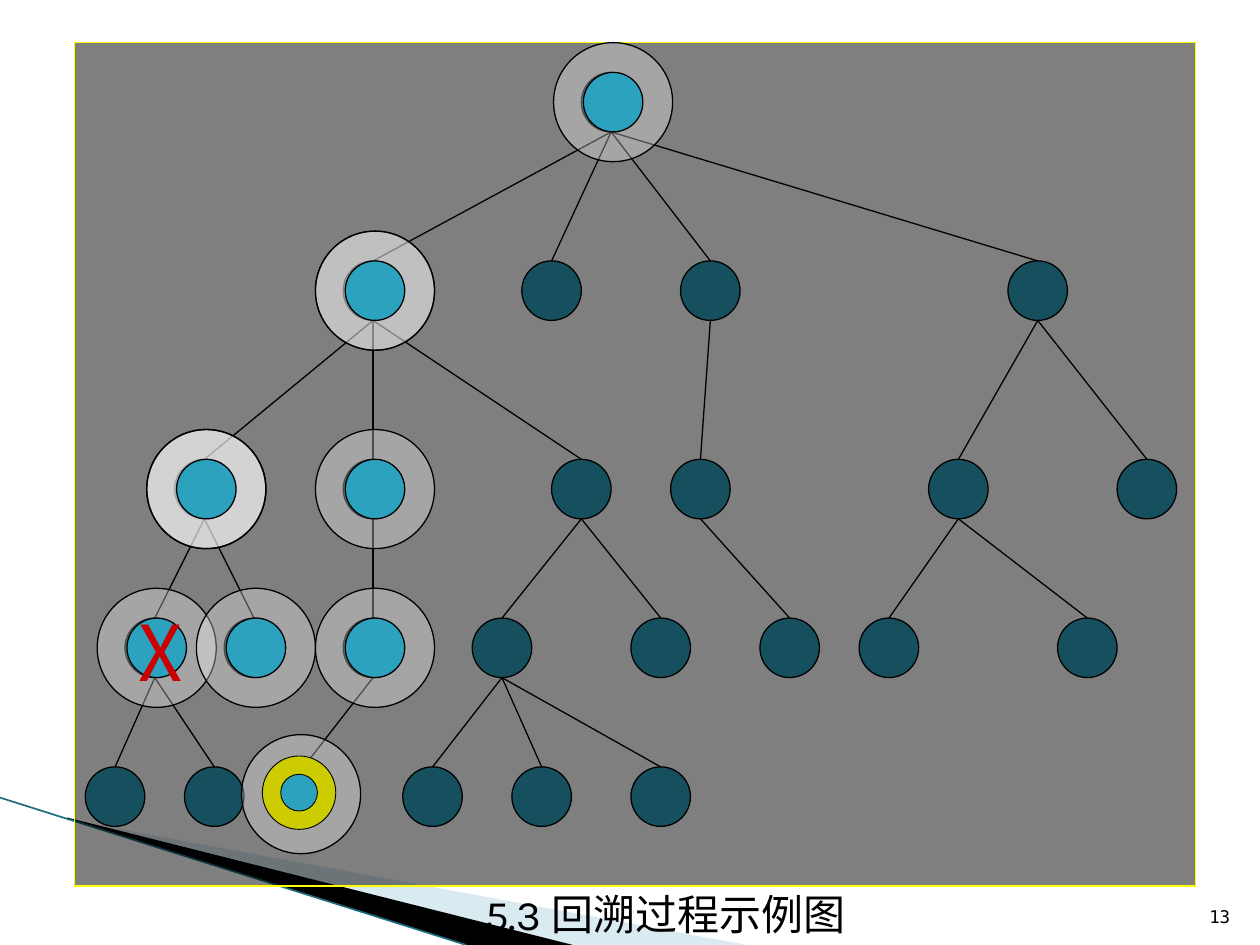
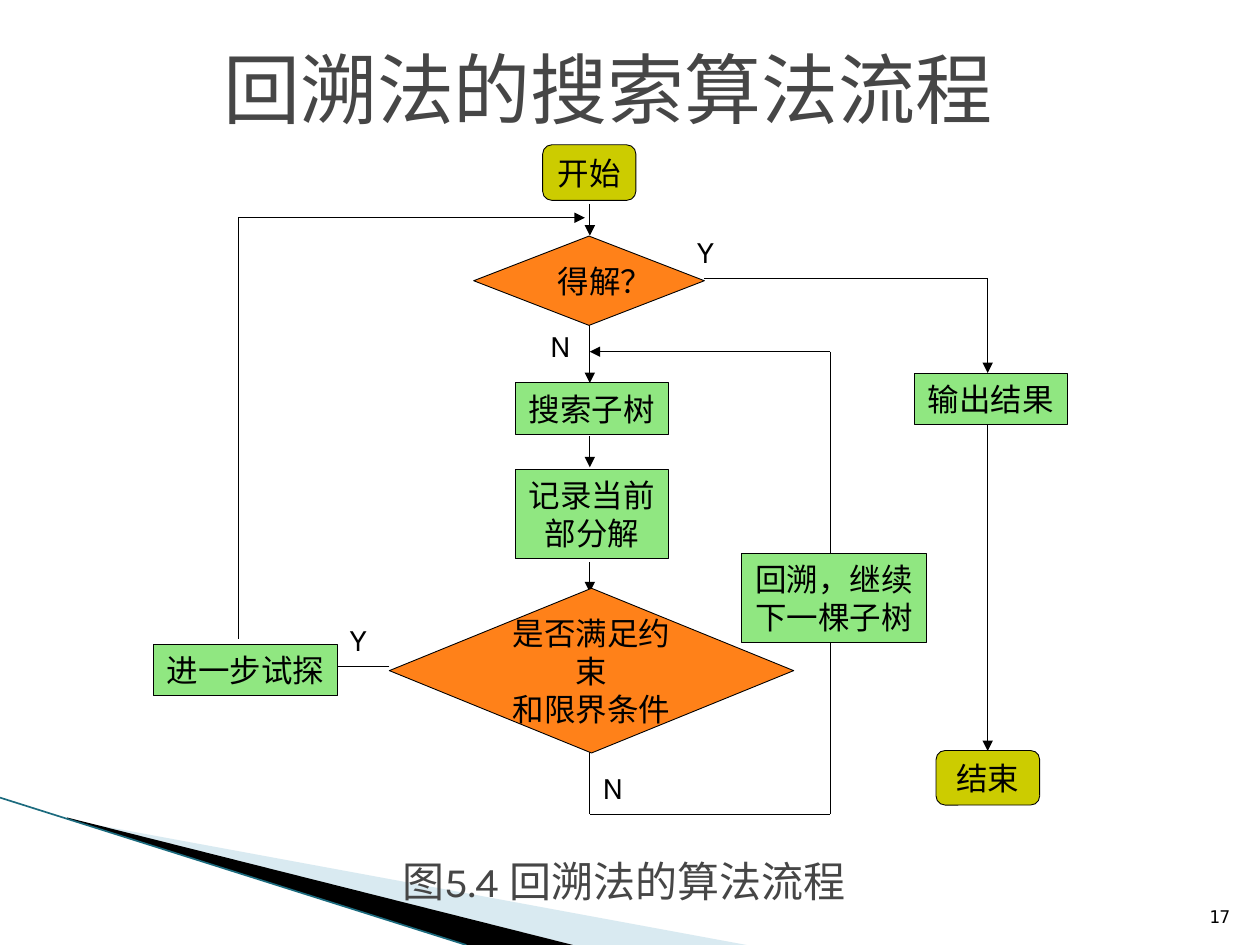
"""Build two slides on backtracking: a search tree and a flow chart."""
from lxml import etree
from pptx import Presentation
from pptx import util as u
from pptx.dml.color import RGBColor
from pptx.enum import shapes, text
from pptx.oxml import ns

SHAPE = shapes.MSO_SHAPE
LINE = shapes.MSO_CONNECTOR.STRAIGHT
CENTER = text.PP_ALIGN.CENTER
MIDDLE = text.MSO_ANCHOR.MIDDLE
BLACK, WHITE, GREY, TEAL = "000000", "FFFFFF", "464646", "2DA2BF"
OLIVE, GREEN, ORANGE, RED = "CCCC00", "90E781", "FF8119", "CC0000"


def paint(target, colour):
    if hasattr(target, "solid"):
        target.solid()
        target = target.fore_color
    target.rgb = RGBColor.from_string(colour)


def draw(page, kind, place, fill=None, line=None, weight=0.75, alpha=100, arrow=False,
         words="", size=18, font="Karla", ink=BLACK, align=None, **frame_format):
    if kind == "outline":
        points = [(u.Cm(x), u.Cm(y)) for x, y in place]
        builder = page.shapes.build_freeform(*points[0])
        builder.add_line_segments(points[1:], close=True)
        item = builder.convert_to_shape()
    else:
        place = [u.Cm(value) for value in place]
        if kind == "text":
            item = page.shapes.add_textbox(*place)
        elif kind is LINE:
            item = page.shapes.add_connector(kind, *place)
        else:
            item = page.shapes.add_shape(kind, *place)

    if fill:
        paint(item.fill, fill)
        if alpha < 100:
            colour = next(item.element.spPr.iter(ns.qn("a:srgbClr")))
            etree.SubElement(colour, ns.qn("a:alpha"), val=str(alpha * 1000))
    if line:
        paint(item.line.color, line)
        item.line.width = u.Pt(weight)
    elif kind != "text":
        item.line.fill.background()
    if arrow:
        stroke = item.element.spPr.find(ns.qn("a:ln"))
        etree.SubElement(stroke, ns.qn("a:tailEnd"), type="triangle")
    if kind is LINE:
        etree.SubElement(item.element.spPr, ns.qn("a:effectLst"))
    elif kind != "text":
        item.shadow.inherit = False

    if words:
        frame = item.text_frame
        for name, value in {"word_wrap": True, **frame_format}.items():
            setattr(frame, name, value)
        for number, sentence in enumerate(words.split("\n")):
            para = frame.add_paragraph() if number else frame.paragraphs[0]
            para.alignment = align
            span = para.add_run()
            span.text = sentence
            for name, value in {"size": u.Pt(size), "name": font}.items():
                setattr(span.font, name, value)
            paint(span.font.color, ink)
            east = etree.SubElement(span.font._element, ns.qn("a:ea"))
            east.set("typeface", font)
    return item


deck = Presentation()
deck.slide_width, deck.slide_height = u.Cm(25.4), u.Cm(19.05)

pages = []
for number in ("13", "17"):
    page = deck.slides.add_slide(deck.slide_layouts[6])
    draw(page, "outline", [(1.4, 16.53), (15.05, 19.05), (11.55, 19.05), (1.4, 16.51)],
         "A0CBDC", alpha=40)
    draw(page, "outline", [(1.35, 16.48), (11.55, 19.05), (9.4, 19.05), (1.37, 16.51)], BLACK)
    draw(page, LINE, (0, 16.08, 9.4, 19.05), line="1C6B7E", weight=0.95)
    draw(page, "text", (24.03, 17.8, 1.02, 1.02), words=number, size=10,
         font="DejaVu Sans Mono", align=text.PP_ALIGN.RIGHT,
         vertical_anchor=text.MSO_ANCHOR.BOTTOM)
    pages.append(page)
tree_page, flow_page = pages

RADIUS, HALO = 0.6, 1.2
level_y = [2.06, 5.86, 9.86, 13.06, 16.06]
# Each node is its x position and the index of its parent one level up.
levels = [
    [(12.32, None)],
    [(7.52, 0), (11.12, 0), (14.32, 0), (20.92, 0)],
    [(4.12, 0), (7.52, 0), (11.72, 0), (14.12, 2), (19.32, 3), (23.12, 3)],
    [(3.12, 0), (5.12, 0), (7.52, 1), (10.12, 2), (13.32, 2), (15.92, 3),
     (17.92, 4), (21.92, 4)],
    [(2.32, 0), (4.32, 0), (6.12, 2), (8.72, 3), (10.92, 3), (13.32, 3)],
]
for depth, nodes in enumerate(levels):
    y = level_y[depth]
    for x, parent in nodes:
        draw(tree_page, SHAPE.OVAL, (x - RADIUS, y - RADIUS, 2 * RADIUS, 2 * RADIUS),
             TEAL, BLACK)
        if parent is not None:
            draw(tree_page, LINE, (levels[depth - 1][parent][0], level_y[depth - 1] + RADIUS,
                                   x, y - RADIUS), line=BLACK)

draw(tree_page, SHAPE.RECTANGLE, (1.5, 0.86, 22.6, 17), BLACK, "FFFF00", alpha=50)

visits = [(0, 0, 1), (1, 0, 2), (2, 0, 3), (3, 0, 1), (3, 1, 1), (2, 1, 1), (3, 2, 1),
          (4, 2, 1)]
for depth, index, times in visits:
    goal = depth == 4
    x = levels[depth][index][0] + (-0.05 if goal else 0.04)
    y = level_y[depth] - (0.05 if goal else 0)
    for radius, colour, alpha in [(HALO, WHITE, 30)] * times + [(RADIUS, TEAL, 100)]:
        draw(tree_page, SHAPE.OVAL, (x - radius, y - radius, 2 * radius, 2 * radius),
             colour, BLACK, alpha=alpha)

ring = draw(tree_page, SHAPE.DONUT, (5.29, 15.24, 1.48, 1.48), OLIVE, BLACK, 0.5)
ring.adjustments[0] = 0.25
draw(tree_page, "text", (2.54, 12.07, 1.27, 2.11), words="X", size=44,
     font="Noto Sans CJK JP", ink=RED)
draw(tree_page, "text", (9.53, 17.78, 8.89, 1.27), words="5.3 回溯过程示例图", size=24)

MAIN, LOOP, RETRY, RESULT = 11.89, 4.8, 16.74, 19.91
routes = [
    ([(LOOP, 12.88), (LOOP, 4.39), (11.79, 4.39)], True),
    ([(MAIN, 4.11), (MAIN, 4.75)], True),
    ([(MAIN, 6.45), (MAIN, 7.72)], True),
    ([(MAIN, 8.79), (MAIN, 9.42)], True),
    ([(MAIN, 11.33), (MAIN, 11.94)], True),
    ([(14.2, 5.61), (RESULT, 5.61), (RESULT, 7.52)], True),
    ([(RESULT, 8.56), (RESULT, 15.14)], True),
    ([(7.85, 13.44), (6.17, 13.44)], True),
    ([(MAIN, 15.14), (MAIN, 16.41), (RETRY, 16.41), (RETRY, 7.09), (MAIN, 7.09)], True),
]
for stops, arrow in routes:
    for start, end in zip(stops, stops[1:]):
        draw(flow_page, LINE, (*start, *end), line=BLACK, weight=0.5,
             arrow=arrow and end == stops[-1])

PROCESS, DECISION = SHAPE.FLOWCHART_PROCESS, SHAPE.FLOWCHART_DECISION
steps = [
    (SHAPE.ROUNDED_RECTANGLE, (10.94, 2.92, 1.88, 1.12), OLIVE, "开始", False),
    (PROCESS, (18.43, 7.52, 3.08, 1.03), GREEN, "输出结果", False),
    (PROCESS, (10.39, 7.72, 3.08, 1.03), GREEN, "搜索子树", False),
    (PROCESS, (10.39, 9.46, 3.08, 1.8), GREEN, "记录当前部分解", True),
    (DECISION, (7.85, 11.86, 8.15, 3.32), ORANGE, "是否满足约束\n和限界条件", True),
    (DECISION, (9.55, 4.76, 4.65, 1.8), ORANGE, "得解？", True),
    (PROCESS, (3.09, 13, 3.72, 1.03), GREEN, "进一步试探", False),
    (SHAPE.FLOWCHART_ALTERNATE_PROCESS, (18.87, 15.13, 2.09, 1.1), OLIVE, "结束", True),
    (PROCESS, (14.95, 11.16, 3.72, 1.8), GREEN, "回溯，继续\n下一棵子树", False),
]
for kind, place, colour, words, wrap in steps:
    draw(flow_page, kind, place, colour, BLACK, 0.5, words=words, align=CENTER,
         vertical_anchor=MIDDLE, word_wrap=wrap)

for answer, x, y in [("Y", 13.8, 4.55), ("Y", 6.8, 12.37), ("N", 10.83, 6.45),
                     ("N", 11.89, 15.35)]:
    draw(flow_page, "text", (x, y, 1.07, 1.02), words=answer)

draw(flow_page, "text", (1.47, 0.64, 21.59, 2.24), words="回溯法的搜索算法流程", size=44,
     ink=GREY, align=CENTER, vertical_anchor=MIDDLE)
draw(flow_page, "text", (7.87, 17.12, 12.35, 1.27), words="图5.4 回溯法的算法流程", size=24,
     ink=GREY)

deck.save("out.pptx")
